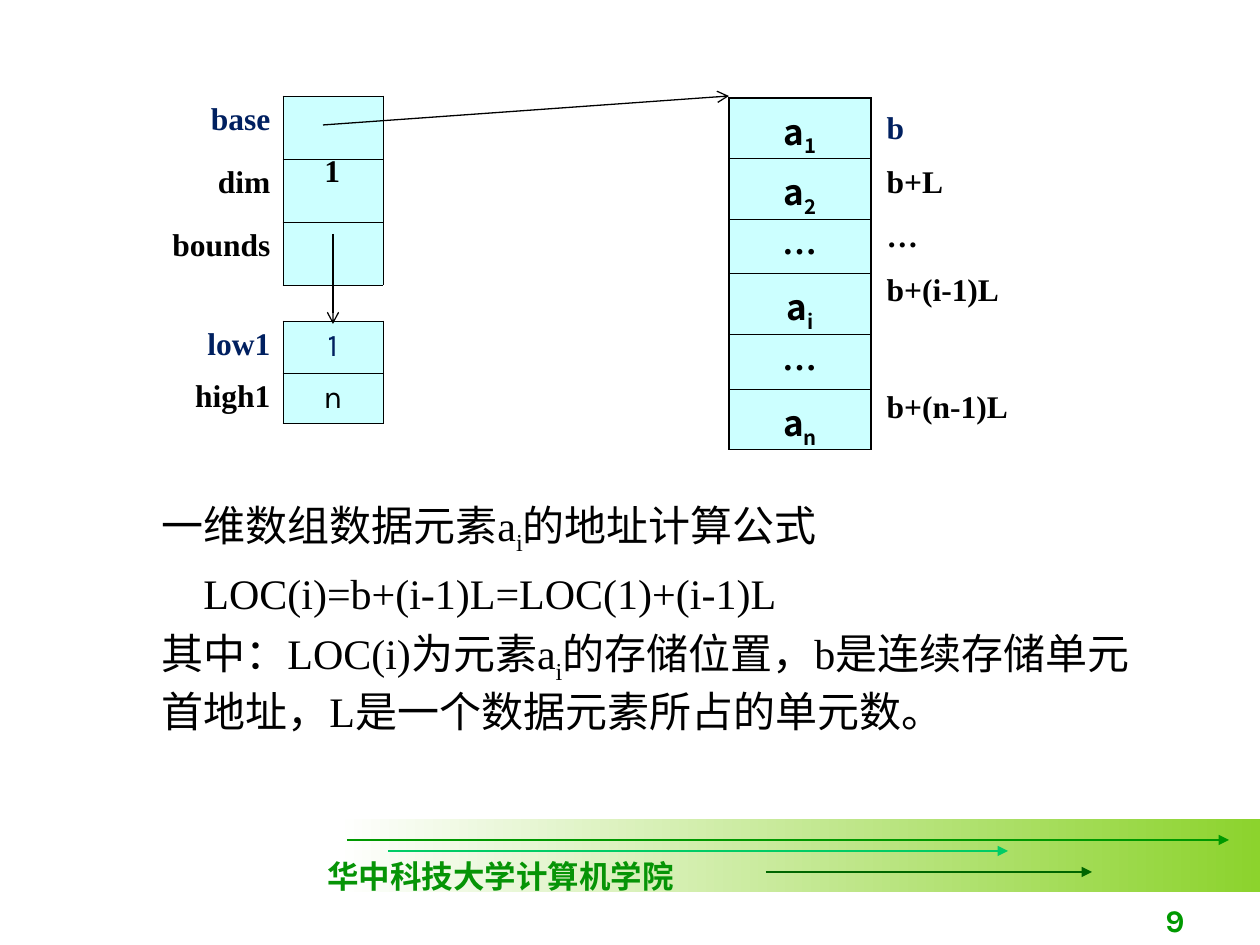
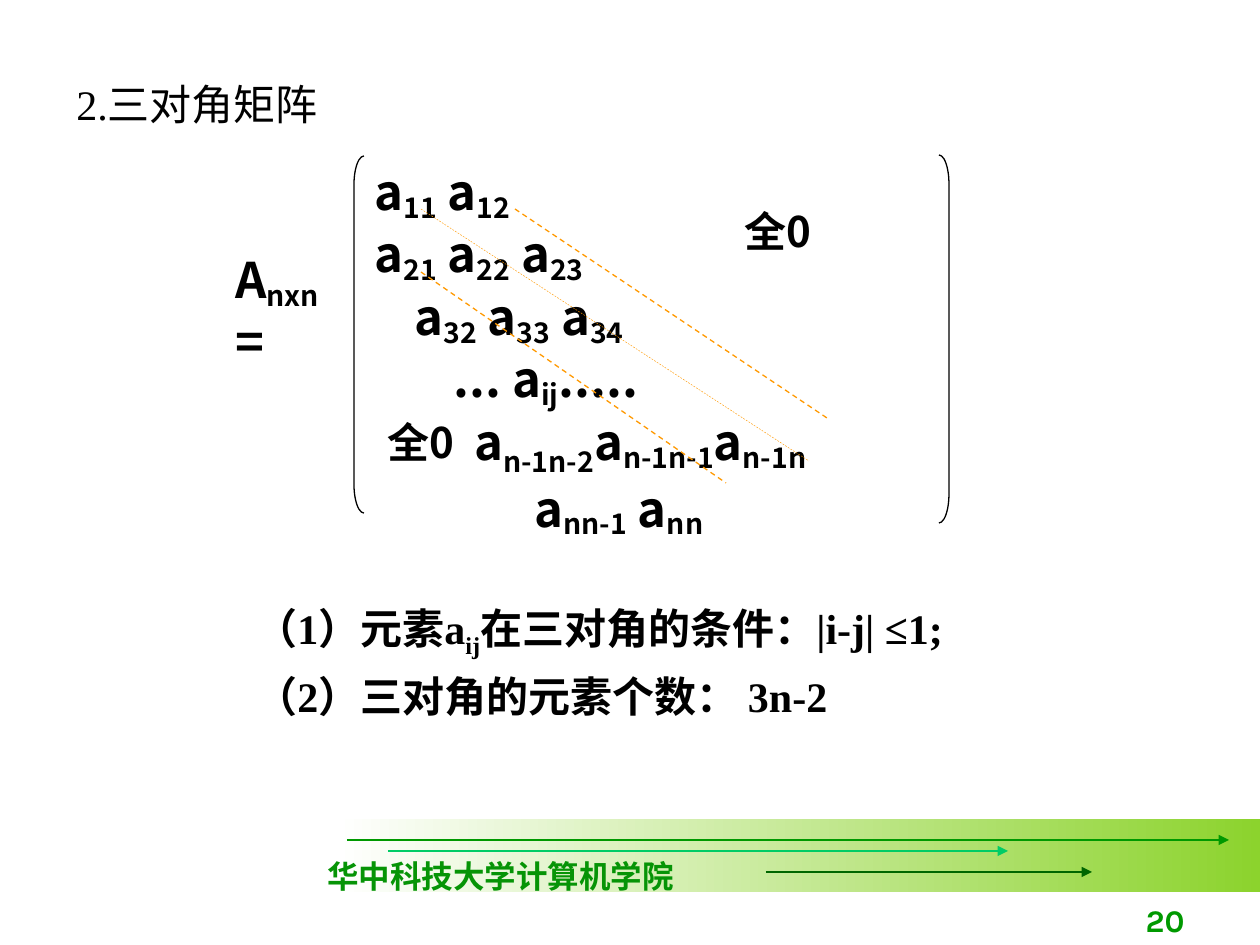
from dataclasses import dataclass

import lxml.etree
import pptx
import pptx.dml.color
import pptx.enum.dml
import pptx.enum.shapes
import pptx.enum.text
import pptx.oxml.ns
import pptx.util

EMU_PER_PX = 914400 / 126
SERIF, SANS, KARLA = "Times New Roman", "Noto Sans CJK SC", "Karla"
NO_STYLE = "{2D5ABB26-0587-4C30-8999-92F81FD0307C}"
COLORS = {
    "black": "000000", "white": "FFFFFF", "navy": "002060", "cell": "CCFFFF",
    "band": "8CD32D", "green": "009900", "mint": "00CC66", "forest": "006600",
    "school": "069406", "diagonal": "FF9900",
}
ALIGN = pptx.enum.text.PP_ALIGN
SHAPE = pptx.enum.shapes.MSO_SHAPE
DASH = pptx.enum.dml.MSO_LINE.DASH


@dataclass(frozen=True)
class Para:
    text: str
    left: int = 0
    before: int = 0
    first_sub: int | None = None


@dataclass(frozen=True)
class Line:
    x1: int
    y1: int
    x2: int
    y2: int
    color: str = "black"
    width: float = 0.75
    head: str | None = None
    dash: bool = False


@dataclass(frozen=True)
class Edge:
    color: str
    width: float


@dataclass(frozen=True)
class Cell:
    text: str = ""
    color: str = "black"
    font: str = SERIF
    size: int = 18
    bold: bool = True
    align: ALIGN = ALIGN.LEFT
    fill: str | None = None
    edges: tuple[Edge | None, ...] = (None,) * 4


FOOTER_LINES = [
    Line(347, 840, 1229, 840, "green", head="triangle"),
    Line(388, 851, 1008, 851, "mint", head="triangle"),
    Line(766, 872, 1092, 872, "forest", head="triangle"),
]
THIN, THICK = Edge("black", 0.45), Edge("black", 1.08)
PALE, PALE_WIDE = Edge("white", 0.45), Edge("white", 1.47)


def px(n: int) -> pptx.util.Emu:
    return pptx.util.Emu(round(n * EMU_PER_PX))


def rgb(name: str) -> pptx.dml.color.RGBColor:
    return pptx.dml.color.RGBColor.from_string(COLORS[name])


def sub_element(parent, tag: str, **attrs: str):
    return lxml.etree.SubElement(parent, pptx.oxml.ns.qn(tag), **attrs)


def write(tf, *paras: Para | str, size: int = 24, font: str = SERIF, color: str = "black",
          bold: bool = False, align: ALIGN = ALIGN.LEFT, sub: int = -25) -> None:
    """Text between underscores is set as a subscript."""
    for n, para in enumerate(paras):
        if isinstance(para, str):
            para = Para(para)
        p = tf.add_paragraph() if n else tf.paragraphs[0]
        p.alignment = align
        if para.before:
            p.space_before = pptx.util.Pt(para.before)
        if para.left:
            p_pr = p._p.get_or_add_pPr()
            p_pr.set("marL", str(px(para.left)))
            p_pr.set("indent", "0")
        for i, part in enumerate(para.text.split("_")):
            if not part:
                continue
            r = p.add_run()
            r.text = part
            r.font.size = pptx.util.Pt(size)
            r.font.bold = bold
            r.font.name = font
            r.font.color.rgb = rgb(color)
            r_pr = r._r.get_or_add_rPr()
            sub_element(r_pr, "a:ea", typeface=SANS)
            if i % 2:
                shift = para.first_sub if i == 1 and para.first_sub else sub
                r_pr.set("baseline", str(shift * 1000))


def add_text(s, x: int, y: int, w: int, h: int, *paras: Para | str,
             wrap: bool = True, bottom: bool = False, **fmt) -> None:
    tf = s.shapes.add_textbox(px(x), px(y), px(w), px(h)).text_frame
    tf.word_wrap = wrap
    if bottom:
        tf.vertical_anchor = pptx.enum.text.MSO_ANCHOR.BOTTOM
    write(tf, *paras, **fmt)


def add_line(s, line: Line) -> None:
    c = s.shapes.add_connector(pptx.enum.shapes.MSO_CONNECTOR.STRAIGHT,
                               px(line.x1), px(line.y1), px(line.x2), px(line.y2))
    c.line.color.rgb = rgb(line.color)
    c.line.width = pptx.util.Pt(line.width)
    if line.dash:
        c.line.dash_style = DASH
    if line.head:
        sub_element(c.line._get_or_add_ln(), "a:tailEnd", type=line.head)
    sub_element(c._element.spPr, "a:effectLst")


def add_bracket(s, kind: SHAPE, x: int, y: int, w: int, h: int) -> None:
    sp = s.shapes.add_shape(kind, px(x), px(y), px(w), px(h))
    sp.adjustments[0] = 2.9
    sp.fill.background()
    sp.line.color.rgb = rgb("black")
    sp.line.width = pptx.util.Pt(0.75)
    sp.shadow.inherit = False


def set_edges(tc_pr, edges: tuple[Edge | None, ...]) -> None:
    for side, edge in zip("LRTB", edges):
        if edge is None:
            sub_element(sub_element(tc_pr, f"a:ln{side}", w="0"), "a:noFill")
            continue
        ln = sub_element(tc_pr, f"a:ln{side}", w=str(pptx.util.Pt(edge.width)))
        sub_element(sub_element(ln, "a:solidFill"), "a:srgbClr", val=COLORS[edge.color])


def add_grid(s, x: int, y: int, cols: list[int], rows: list[int],
             cells: list[list[Cell]]) -> None:
    frame = s.shapes.add_table(len(rows), len(cols), px(x), px(y), px(sum(cols)), px(sum(rows)))
    table = frame.table
    table.first_row = table.horz_banding = False
    table._tbl.tblPr.find(pptx.oxml.ns.qn("a:tableStyleId")).text = NO_STYLE
    for column, w in zip(table.columns, cols):
        column.width = px(w)
    for row, h, specs in zip(table.rows, rows, cells):
        row.height = px(h)
        for cell, spec in zip(row.cells, specs):
            set_edges(cell._tc.get_or_add_tcPr(), spec.edges)
            if spec.fill:
                cell.fill.solid()
                cell.fill.fore_color.rgb = rgb(spec.fill)
            else:
                cell.fill.background()
            write(cell.text_frame, spec.text, size=spec.size, font=spec.font,
                  color=spec.color, bold=spec.bold, align=spec.align)


def add_record(s, y: int, rows: list[int], fields: dict[str, str]) -> None:
    cells = []
    for n, (label, value) in enumerate(fields.items()):
        top = PALE_WIDE if n == 1 else PALE
        bottom = PALE_WIDE if n == 0 else PALE
        color = "navy" if n == 0 else "black"
        cells.append([
            Cell(label, color, align=ALIGN.RIGHT, edges=(PALE, THIN, top, bottom)),
            Cell(value, color, KARLA, bold=False, align=ALIGN.CENTER, fill="cell",
                 edges=(THIN,) * 4),
        ])
    add_grid(s, 154, y, [129, 100], rows, cells)


def new_slide(prs, number: str):
    s = prs.slides.add_slide(prs.slide_layouts[6])
    band = s.shapes.add_shape(SHAPE.RECTANGLE, px(336), px(819), px(924), px(73))
    band.shadow.inherit = False
    band.line.fill.background()
    band.fill.gradient()
    band.fill.gradient_angle = 0
    for stop, position, color in zip(band.fill.gradient_stops, (0, 1), ("white", "band")):
        stop.position = position
        stop.color.rgb = rgb(color)
    for line in FOOTER_LINES:
        add_line(s, line)
    add_text(s, 315, 851, 372, 50, "华中科技大学计算机学院", size=18, color="school",
             bold=True, wrap=False)
    add_text(s, 935, 882, 262, 63, number, size=18, font=KARLA, color="green", bold=True,
             align=ALIGN.RIGHT, bottom=True)
    return s


def build_array_slide(prs) -> None:
    s = new_slide(prs, "9")
    elements = ["a_1_", "a_2_", "…", "a_i_", "…", "a_n_"]
    last = len(elements) - 1
    add_grid(s, 729, 98, [142], [55 if e == "…" else 60 for e in elements], [
        [Cell(e, font=SANS, size=20, align=ALIGN.CENTER, fill="cell",
              edges=(THICK, THICK, THICK if n == 0 else THIN, THICK if n == last else THIN))]
        for n, e in enumerate(elements)])
    add_text(s, 149, 493, 1027, 249,
             "一维数组数据元素a_i_的地址计算公式",
             Para("LOC(i)=b+(i-1)L=LOC(1)+(i-1)L", left=42, before=6),
             Para("其中：LOC(i)为元素a_i_的存储位置，b是连续存储单元首地址，"
                  "L是一个数据元素所占的单元数。", before=6))
    add_record(s, 96, [63] * 3, {"base": "", "dim": "", "bounds": ""})
    add_record(s, 321, [52, 50], {"low1": "1", "high1": "n"})
    add_text(s, 312, 145, 79, 50, "1", size=18, bold=True)
    add_line(s, Line(323, 125, 729, 96, head="arrow"))
    add_line(s, Line(333, 234, 333, 324, head="arrow"))
    addresses = ["b", "b+L", "…", "b+(i-1)L", "", "b+(n-1)L"]
    add_grid(s, 874, 105, [208], [54 if a else 63 for a in addresses],
             [[Cell(a, "navy" if a == "b" else "black")] for a in addresses])


def build_matrix_slide(prs) -> None:
    s = new_slide(prs, "20")
    add_bracket(s, SHAPE.LEFT_BRACKET, 354, 156, 10, 357)
    add_bracket(s, SHAPE.RIGHT_BRACKET, 939, 155, 10, 368)
    matrix_format = dict(size=28, font=SANS, bold=True, sub=-16)
    add_text(s, 362, 155, 609, 392,
             "a_11_ a_12_",
             "a_21_ a_22_ a_23_",
             Para("a_32_ a_33_ a_34_", left=40),
             Para("... a_ij_.....", left=79),
             Para("a_n-1n-2_a_n-1n-1_a_n-1n_", left=100, first_sub=-25),
             Para("a_nn-1_ a_nn_", left=160),
             **matrix_format)
    add_text(s, 223, 243, 126, 135, "A_nxn_=", **matrix_format)
    add_line(s, Line(421, 209, 809, 461, "diagonal", 0.25, dash=True))
    add_line(s, Line(421, 272, 726, 483, "diagonal", dash=True))
    add_line(s, Line(515, 209, 830, 420, "diagonal", dash=True))
    for x, y in ((375, 410), (732, 199)):
        add_text(s, x, y, 128, 63, "全0", font=SANS, bold=True)
    add_text(s, 64, 72, 476, 63, "2.三对角矩阵")
    add_text(s, 243, 596, 873, 131,
             "（1）元素a_ij_在三对角的条件：|i-j| ≤1;",
             Para("（2）三对角的元素个数： 3n-2", before=6), bold=True)


def main() -> None:
    prs = pptx.Presentation()
    prs.slide_width, prs.slide_height = px(1260), px(945)
    build_array_slide(prs)
    build_matrix_slide(prs)
    prs.save("out.pptx")


if __name__ == "__main__":
    main()
